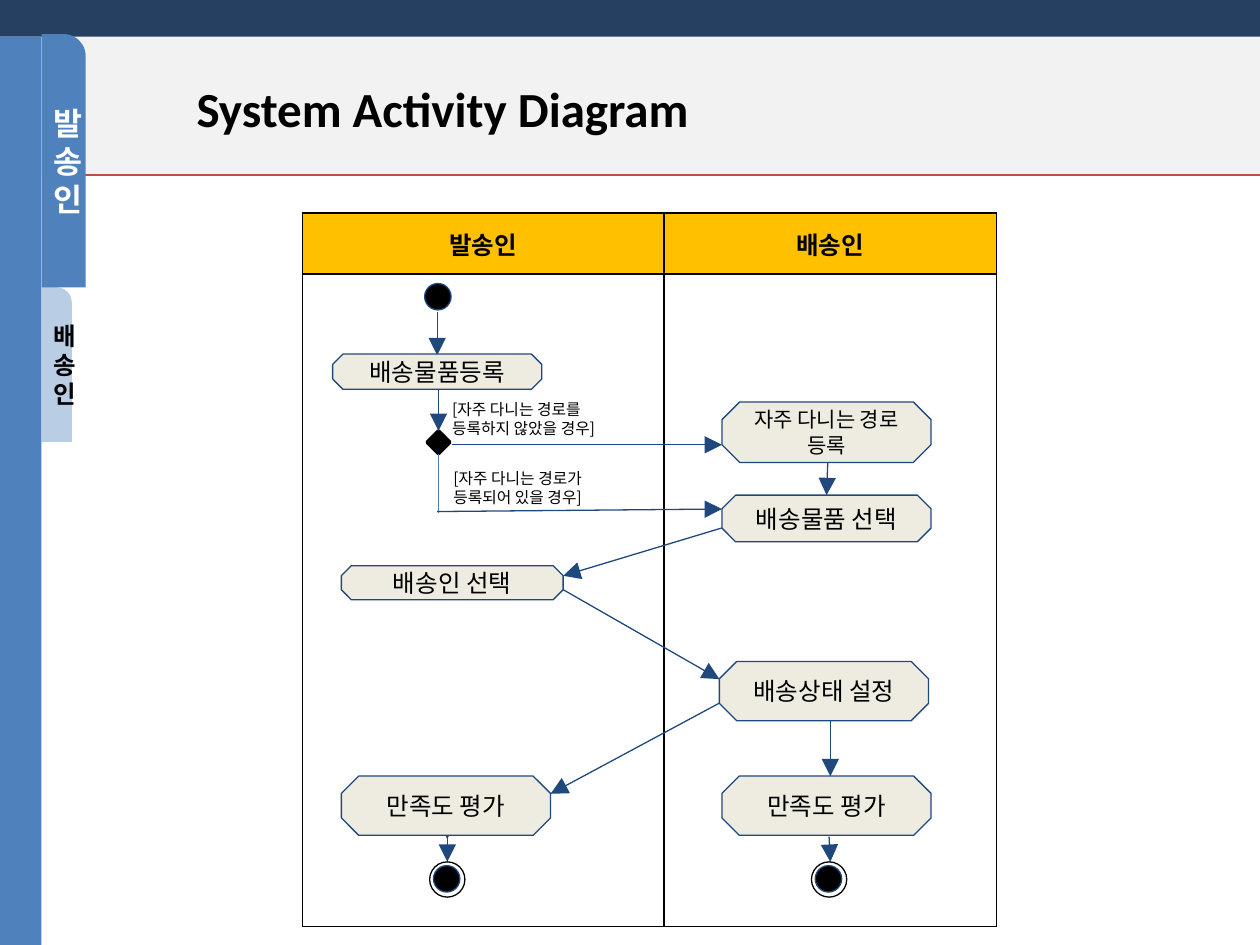
from dataclasses import dataclass
from typing import Optional

from lxml import etree
from pptx import Presentation
from pptx.dml.color import RGBColor
from pptx.enum.shapes import MSO_CONNECTOR, MSO_SHAPE
from pptx.enum.text import MSO_ANCHOR, PP_ALIGN
from pptx.oxml.ns import qn
from pptx.util import Inches, Pt

RECT, TAB = MSO_SHAPE.RECTANGLE, MSO_SHAPE.ROUND_1_RECTANGLE
OCTAGON, DIAMOND = MSO_SHAPE.OCTAGON, MSO_SHAPE.DIAMOND
DOT, RING = MSO_SHAPE.FLOWCHART_CONNECTOR, MSO_SHAPE.OVAL
STRAIGHT = MSO_CONNECTOR.STRAIGHT
LEFT, CENTER = PP_ALIGN.LEFT, PP_ALIGN.CENTER
MIDDLE = MSO_ANCHOR.MIDDLE

COLORS = {
    "black": "000000", "white": "FFFFFF", "navy": "254061", "band": "F2F2F2",
    "blue": "4F81BD", "pale": "B9CDE5", "rule": "BF4C48", "edge": "1F497D",
    "node": "EEECE1", "lane": "FFC000", "branch": "4B7EBC",
}
KOREAN = "Noto Sans CJK KR"


@dataclass
class Box:
    left: float
    top: float
    width: float
    height: float
    text: str
    size: int = 14


@dataclass
class Line:
    x1: float
    y1: float
    x2: float
    y2: float
    color: str = "edge"
    arrow: bool = True
    begin_site: Optional[int] = None
    end_site: Optional[int] = None


ACTIVITIES = [
    Box(2.64, 2.81, 1.66, 0.28, "배송물품등록"),
    Box(5.73, 3.19, 1.66, 0.48, "자주 다니는 경로 등록", 12),
    Box(5.73, 3.93, 1.66, 0.37, "배송물품 선택"),
    Box(2.71, 4.49, 1.76, 0.27, "배송인 선택"),
    Box(5.71, 5.25, 1.66, 0.47, "배송상태 설정"),
    Box(2.71, 6.16, 1.66, 0.47, "만족도 평가"),
    Box(5.73, 6.16, 1.66, 0.47, "만족도 평가"),
]
FLOWS = [
    Line(3.47, 2.48, 3.47, 2.82),
    Line(3.48, 3.08, 3.48, 3.42, end_site=0),
    Line(3.59, 3.53, 5.73, 3.53),
    Line(3.48, 3.6, 3.48, 4.07, "branch", False, begin_site=2),
    Line(3.47, 4.06, 5.73, 4.04),
    Line(6.57, 3.67, 6.56, 3.93),
    Line(5.73, 4.19, 4.47, 4.57),
    Line(4.47, 4.68, 5.71, 5.39),
    Line(5.71, 5.58, 4.37, 6.3),
    Line(6.59, 5.72, 6.59, 6.16),
    Line(3.55, 6.41, 3.55, 6.66),
    Line(3.55, 6.63, 3.55, 6.84),
    Line(6.58, 6.64, 6.59, 6.84),
]
GUARDS = [
    Box(3.49, 3.12, 1.67, 0.4, "[자주 다니는 경로를\v등록하지 않았을 경우]", 9),
    Box(3.5, 3.67, 1.57, 0.4, "[자주 다니는 경로가 등록되어 있을 경우]", 9),
]
TABS = [
    (Box(0.33, 2.28, 0.24, 1.23, "배송인", 14), "pale", "black"),
    (Box(0.33, 0.27, 0.35, 2.01, "발송인", 18), "blue", "white"),
]
LANES = [("발송인", 2.87), ("배송인", 2.64)]
END_LEFTS = [3.41, 6.44]


def rgb(name: str) -> RGBColor:
    return RGBColor.from_string(COLORS[name])


def write(tf, text: str, size: int, color: str = "black", bold: bool = False,
          align=CENTER, font: str = KOREAN) -> None:
    p = tf.paragraphs[0]
    p.text = text
    p.alignment = align
    for r in p.runs:
        for key, value in {"size": Pt(size), "bold": bold, "name": font}.items():
            setattr(r.font, key, value)
        r.font.color.rgb = rgb(color)
        ea = etree.SubElement(r.font._element, qn("a:ea"))
        ea.set("typeface", font)


def add_shape(shapes, kind, at: tuple, fill: Optional[str] = None,
              line: Optional[str] = None, weight: float = 0.75):
    sp = shapes.add_shape(kind, *map(Inches, at))
    sp.shadow.inherit = False
    if fill:
        sp.fill.solid()
        sp.fill.fore_color.rgb = rgb(fill)
    else:
        sp.fill.background()
    if line:
        sp.line.color.rgb = rgb(line)
        sp.line.width = Pt(weight)
    else:
        sp.line.fill.background()
    return sp


def add_label(sp, box: Box, inset: float, color: str = "black",
              bold: bool = False) -> None:
    tf = sp.text_frame
    tf.word_wrap = True
    tf.vertical_anchor = MIDDLE
    for side in ("left", "top", "right", "bottom"):
        setattr(tf, f"margin_{side}", Inches(inset))
    write(tf, box.text, box.size, color, bold)


def add_line(s, line: Line, node=None) -> None:
    ends = map(Inches, (line.x1, line.y1, line.x2, line.y2))
    cx = s.shapes.add_connector(STRAIGHT, *ends)
    cx.line.color.rgb = rgb(line.color)
    cx.line.width = Pt(0.75)
    if line.arrow:
        tail = etree.SubElement(cx.line._get_or_add_ln(), qn("a:tailEnd"))
        for key, value in {"type": "triangle", "w": "lg", "len": "lg"}.items():
            tail.set(key, value)
    etree.SubElement(cx._element.spPr, qn("a:effectLst"))
    if line.begin_site is not None:
        cx.begin_connect(node, line.begin_site)
    if line.end_site is not None:
        cx.end_connect(node, line.end_site)


def set_borders(cell, widths: dict) -> None:
    tcPr = cell._tc.get_or_add_tcPr()
    for i, (side, width) in enumerate(widths.items()):
        ln = etree.Element(qn(f"a:ln{side}"), w=str(int(Pt(width))))
        fill = etree.SubElement(ln, qn("a:solidFill"))
        etree.SubElement(fill, qn("a:srgbClr"), val=COLORS["black"])
        tcPr.insert(i, ln)


def add_lanes(s) -> None:
    at = map(Inches, (2.4, 1.69, 5.51, 5.66))
    table = s.shapes.add_table(2, len(LANES), *at).table
    table.first_row = table.horz_banding = False
    for row, height in zip(table.rows, (0.48, 5.18)):
        row.height = Inches(height)
    for col, (name, width) in enumerate(LANES):
        table.columns[col].width = Inches(width)
        head, body = table.cell(0, col), table.cell(1, col)
        head.margin_top = head.margin_bottom = Inches(0.1)
        write(head.text_frame, name, 14, bold=True)
        head.fill.solid()
        head.fill.fore_color.rgb = rgb("lane")
        body.fill.background()
        sides = {"L": 1.25 if col else 0.75, "R": 0.75 if col else 1.25}
        set_borders(head, {**sides, "T": 1.25, "B": 1.25})
        set_borders(body, {**sides, "T": 1.25, "B": 0.75})


def add_end(s, left: float) -> None:
    group = s.shapes.add_group_shape()
    add_shape(group.shapes, DOT, (left + 0.03, 6.87, 0.21, 0.21), "black", "edge")
    add_shape(group.shapes, RING, (left, 6.84, 0.28, 0.28), line="black")


def add_title(s, text: str) -> None:
    sp = s.shapes.title
    s.shapes._spTree.append(sp._element)
    at = {"left": 1.46, "top": 0.46, "width": 6.75, "height": 0.85}
    for key, value in at.items():
        setattr(sp, key, Inches(value))
    tf = sp.text_frame
    tf.vertical_anchor = MIDDLE
    write(tf, text, 28, bold=True, align=LEFT, font="Calibri")
    tf.paragraphs[0].line_spacing = 0.9


def main() -> None:
    prs = Presentation()
    prs.slide_width, prs.slide_height = Inches(10), Inches(7.5)
    s = prs.slides.add_slide(prs.slide_layouts[5])
    add_shape(s.shapes, RECT, (0, 0, 10, 1.39), "band")
    add_shape(s.shapes, RECT, (0, 0, 10, 0.29), "navy")
    add_title(s, "System Activity Diagram")
    add_line(s, Line(0.33, 1.39, 10, 1.39, "rule", False))
    for box, fill, color in TABS:
        at = (box.left, box.top, box.width, box.height)
        sp = add_shape(s.shapes, TAB, at, fill)
        sp.adjustments[0] = 0.5
        add_label(sp, box, 0.1, color, True)
    add_shape(s.shapes, RECT, (0, 0.29, 0.33, 7.21), "blue")
    add_lanes(s)
    add_shape(s.shapes, DOT, (3.37, 2.25, 0.21, 0.21), "black", "edge")
    decision = add_shape(s.shapes, DIAMOND, (3.39, 3.42, 0.18, 0.18), "black", "black", 2)
    for line in FLOWS:
        add_line(s, line, decision)
    for box in ACTIVITIES:
        at = (box.left, box.top, box.width, box.height)
        add_label(add_shape(s.shapes, OCTAGON, at, "node", "edge"), box, 0.1)
    for box in GUARDS:
        at = map(Inches, (box.left, box.top, box.width, box.height))
        tf = s.shapes.add_textbox(*at).text_frame
        tf.word_wrap = True
        write(tf, box.text, box.size, align=LEFT)
    for left in END_LEFTS:
        add_end(s, left)
    prs.save("out.pptx")


if __name__ == "__main__":
    main()
